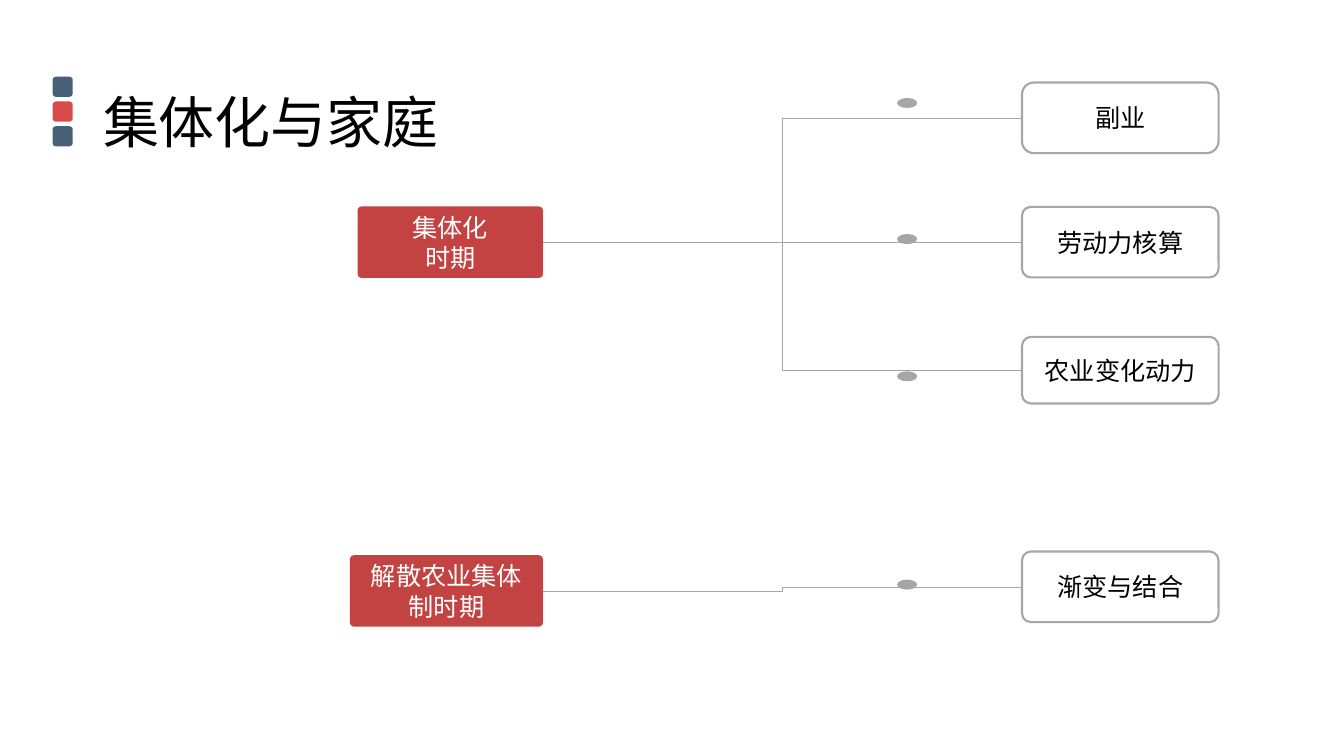
from pptx import Presentation
from pptx.dml.color import RGBColor
from pptx.enum import lang, shapes, text
from pptx.oxml import parse_xml
from pptx.oxml.ns import nsdecls
from pptx.util import Pt

SLATE, CORAL, RED, GRAY = "475F77", "D74B4B", "C34343", "A6A6A6"
FONT = "Cabin"


def color(hex_string):
    return RGBColor.from_string(hex_string)


def write(frame, words, size=18, ink="000000", align=text.PP_ALIGN.CENTER, spacing=1.0):
    frame.word_wrap = True
    frame.auto_size = text.MSO_AUTO_SIZE.NONE
    frame.vertical_anchor = text.MSO_ANCHOR.MIDDLE
    frame.text = words
    for line in frame.paragraphs:
        line.alignment = align
        line.line_spacing = spacing
        for run in line.runs:
            run.font.name = FONT
            run.font.size = Pt(size)
            run.font.color.rgb = color(ink)
            run.font.language_id = lang.MSO_LANGUAGE_ID.SIMPLIFIED_CHINESE


def add_block(slide, kind, box, fill=None, outline=None, corner=None):
    block = slide.shapes.add_shape(kind, *map(Pt, box))
    block.shadow.inherit = False
    if corner is not None:
        block.adjustments[0] = corner
    if fill:
        block.fill.solid()
        block.fill.fore_color.rgb = color(fill)
    else:
        block.fill.background()
    if outline:
        block.line.color.rgb = color(outline)
        block.line.width = Pt(1.5)
    else:
        block.line.fill.background()
    return block


def join(slide, period, topic):
    link = slide.shapes.add_connector(
        shapes.MSO_CONNECTOR.ELBOW,
        period.left + period.width, period.top + period.height // 2,
        topic.left, topic.top + topic.height // 2)
    link.begin_connect(period, 3)
    link.end_connect(topic, 1)
    link.line.color.rgb = color(GRAY)
    link.line.width = Pt(0.25)
    link._element.spPr.append(parse_xml(f"<a:effectLst {nsdecls('a')}/>"))


def add_heading(slide, box, words):
    left, top, width, height = box
    for index, fill in enumerate((SLATE, CORAL, SLATE)):
        add_block(slide, shapes.MSO_SHAPE.ROUNDED_RECTANGLE,
                  (left, top + 8 + index * 17.7, 14.4, 14.4), fill=fill, corner=0.167)
    title = slide.shapes.title
    title.left, title.top, title.width, title.height = map(
        Pt, (left + 28.8, top, width - 28.8, height))
    write(title.text_frame, words, size=40, align=text.PP_ALIGN.LEFT, spacing=0.9)


def add_branches(slide, box, period_name, period_box, topics):
    left, top, width, _ = box
    x, y, period_width, period_height = period_box
    period = add_block(slide, shapes.MSO_SHAPE.ROUNDED_RECTANGLE,
                       (left + x, top + y, period_width, period_height),
                       fill=RED, corner=0.056)
    write(period.text_frame, period_name, ink="FFFFFF")
    topic_width = 140.4
    for name, offset, height, corner, dot_offset in topics:
        topic = add_block(slide, shapes.MSO_SHAPE.ROUNDED_RECTANGLE,
                          (left + width - topic_width, top + offset, topic_width, height),
                          outline=GRAY, corner=corner)
        write(topic.text_frame, name)
        join(slide, period, topic)
        add_block(slide, shapes.MSO_SHAPE.OVAL,
                  (left + width - 229.6, top + dot_offset, 14.4, 7.2), fill=GRAY)


def main():
    deck = Presentation()
    deck.slide_width, deck.slide_height = Pt(960), Pt(540)
    slide = deck.slides.add_slide(deck.slide_layouts[5])
    add_heading(slide, (37.6, 46.8, 856.6, 85), "集体化与家庭")
    add_branches(slide, (250, 59, 620.4, 229), "集体化\n时期", (5.4, 88.5, 132.4, 51), [
        ("副业", 0, 50.4, 0.168, 11),
        ("劳动力核算", 88.8, 50.4, 0.124, 108.2),
        ("农业变化动力", 181.6, 47.6, 0.135, 206.2),
    ])
    add_branches(slide, (250, 394, 620.4, 54), "解散农业集体制时期", (0, 2.6, 137.8, 51), [
        ("渐变与结合", 0, 50.4, 0.124, 20),
    ])
    deck.save("out.pptx")


if __name__ == "__main__":
    main()
